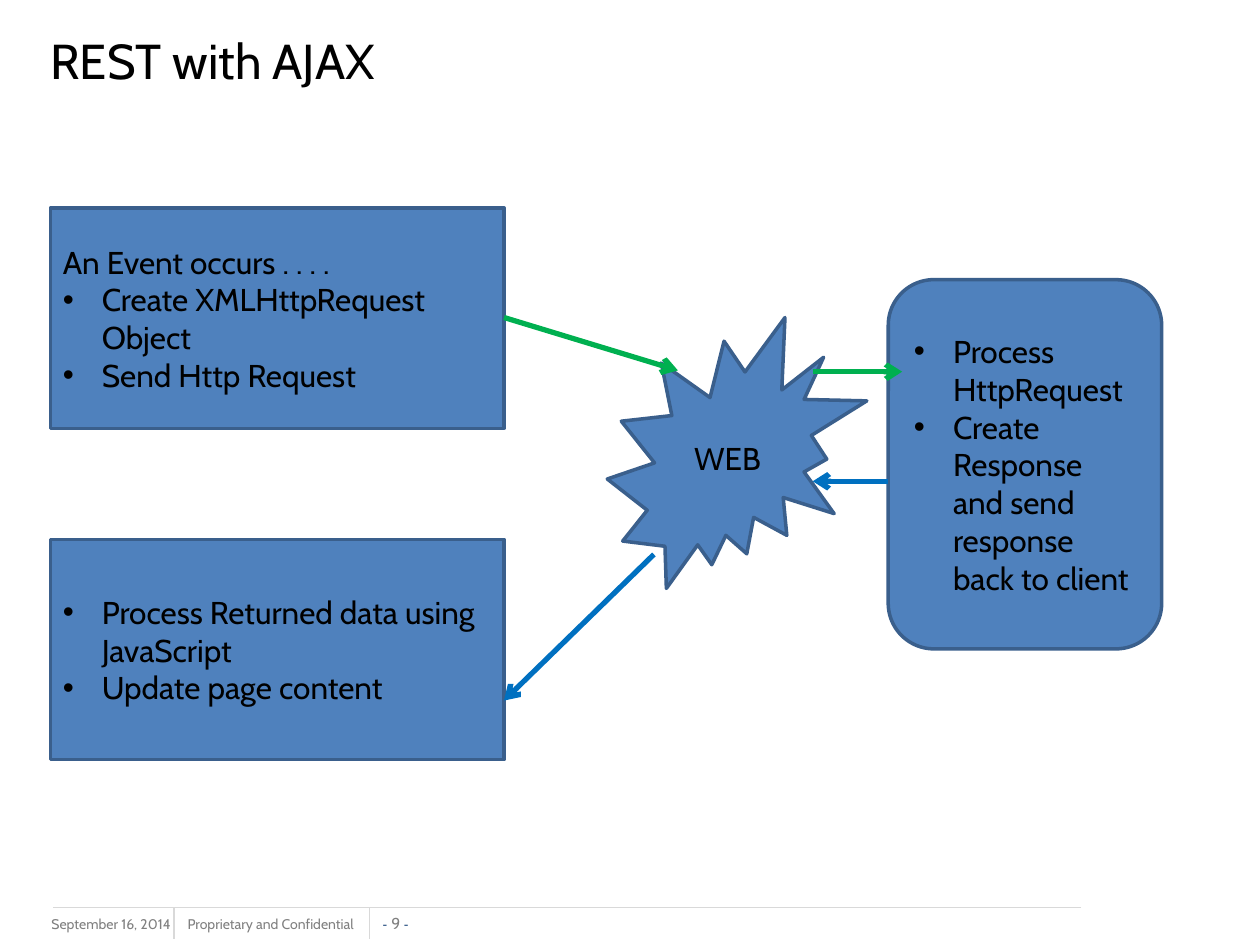
from dataclasses import dataclass

from lxml import etree
from pptx import Presentation
from pptx.dml.color import RGBColor
from pptx.enum.shapes import MSO_CONNECTOR, MSO_SHAPE
from pptx.enum.text import MSO_ANCHOR, PP_ALIGN
from pptx.oxml.ns import qn
from pptx.util import Inches, Pt

RECT, ROUND = MSO_SHAPE.RECTANGLE, MSO_SHAPE.ROUNDED_RECTANGLE
BURST, LINE = MSO_SHAPE.EXPLOSION2, MSO_CONNECTOR.STRAIGHT
LEFT, MID = PP_ALIGN.LEFT, PP_ALIGN.CENTER
TOP, CENTER, BASE = MSO_ANCHOR.TOP, MSO_ANCHOR.MIDDLE, MSO_ANCHOR.BOTTOM

HEX = {"ink": "000000", "fill": "4F81BD", "edge": "3A5F8C", "send": "00B050",
       "reply": "0070C0", "rule": "D9D9D9", "note": "808080", "dash": "1F497D"}
COLS, ROWS = 100, 75
FONT = "Cabin"

deck = Presentation()
deck.slide_width, deck.slide_height = Inches(10), Inches(7.5)
slide = deck.slides.add_slide(deck.slide_layouts[5])


@dataclass
class Run:
    text: str
    size: float
    color: str
    font: str = FONT


@dataclass
class Box:
    kind: int
    area: tuple
    head: str = ""
    items: tuple = ()
    align: int = LEFT


@dataclass
class Link:
    start: tuple
    end: tuple
    color: str
    width: float = 3
    arrow: bool = True


@dataclass
class Note:
    area: tuple
    runs: tuple
    wrap: bool = False
    anchor: int = TOP
    align: int = LEFT
    inset: bool = True


def col(n: float) -> int:
    return round(deck.slide_width * n / COLS)


def row(n: float) -> int:
    return round(deck.slide_height * n / ROWS)


def place(area: tuple) -> tuple:
    x, y, w, h = area
    return col(x), row(y), col(w), row(h)


def shade(name: str) -> RGBColor:
    return RGBColor.from_string(HEX[name])


def dot(para) -> None:
    props = para._p.get_or_add_pPr()
    props.set("marL", str(Inches(0.31)))
    props.set("indent", str(-Inches(0.31)))
    etree.SubElement(props, qn("a:buFont")).set("typeface", "Arial")
    etree.SubElement(props, qn("a:buChar")).set("char", "•")


def write(para, text: str, *, size: float = 18, color: str = "ink",
          font: str = FONT, align: int = LEFT, bullet: bool = False) -> None:
    para.alignment = align
    if bullet:
        dot(para)
    run = para.add_run()
    run.text = text
    run.font.size, run.font.name = Pt(size), font
    run.font.color.rgb = shade(color)


def draw_box(box: Box) -> None:
    shape = slide.shapes.add_shape(box.kind, *place(box.area))
    shape.shadow.inherit = False
    shape.fill.solid()
    shape.fill.fore_color.rgb = shade("fill")
    shape.line.color.rgb = shade("edge")
    shape.line.width = Pt(2)
    frame = shape.text_frame
    frame.word_wrap, frame.vertical_anchor = True, CENTER
    lines = ([box.head] if box.head else []) + list(box.items)
    for i, text in enumerate(lines):
        para = frame.add_paragraph() if i else frame.paragraphs[0]
        write(para, text, align=box.align, bullet=text in box.items)


def draw_link(link: Link) -> None:
    (x, y), (to_x, to_y) = link.start, link.end
    wire = slide.shapes.add_connector(LINE, col(x), row(y), col(to_x), row(to_y))
    wire.line.color.rgb = shade(link.color)
    wire.line.width = Pt(link.width)
    if link.arrow:
        tail = etree.SubElement(wire.line._get_or_add_ln(), qn("a:tailEnd"))
        tail.set("type", "arrow")
    etree.SubElement(wire._element.spPr, qn("a:effectLst"))


def draw_note(note: Note) -> None:
    frame = slide.shapes.add_textbox(*place(note.area)).text_frame
    frame.word_wrap, frame.vertical_anchor = note.wrap, note.anchor
    if not note.inset:
        frame.margin_left = frame.margin_right = 0
        frame.margin_top = frame.margin_bottom = 0
    for run in note.runs:
        write(frame.paragraphs[0], run.text, size=run.size, color=run.color,
              font=run.font, align=note.align)


NOTES = (
    Note((3.1, 72.2, 13.3, 2.5), (Run("September 16, 2014", 8, "note"),), wrap=True),
    Note((13.9, 72.2, 15.7, 2.4), (Run("Proprietary and Confidential", 8, "note"),)),
    Note((30.1, 72.5, 2.6, 1.5),
         (Run("- ", 8, "dash", "Arial"), Run("9 ", 9, "note"),
          Run("-", 8, "dash", "Arial")),
         anchor=BASE, align=MID, inset=False),
)
RULES = [Link((85.8, 72), (4.2, 72), "rule", 0.75, False)]
RULES += [Link((x, 72), (x, 74.5), "rule", 0.75, False) for x in (13.8, 29.3)]
BOXES = (
    Box(RECT, (4, 16.5, 36, 17.5), "An Event occurs . . . .",
        ("Create XMLHttpRequest Object", "Send Http Request")),
    Box(RECT, (4, 42.8, 36, 17.5), items=(
        "Process Returned data using JavaScript", "Update page content")),
    Box(BURST, (48.2, 25.2, 20.6, 21.5), "WEB", align=MID),
    Box(ROUND, (70.5, 22.2, 21.7, 29.3), items=(
        "Process HttpRequest", "Create Response and send response back to client")),
)
LINKS = (
    Link((40, 25.2), (53.8, 29.4), "send"),
    Link((51.9, 44), (40, 55.6), "reply"),
    Link((64.5, 29.5), (71.6, 29.5), "send"),
    Link((70.5, 38.2), (64.5, 38.2), "reply"),
)

for note in NOTES:
    draw_note(note)
for rule in RULES:
    draw_link(rule)

title = slide.shapes.title
title.left, title.top, title.width, title.height = place((3, 0, 90, 9.5))
title.text_frame.vertical_anchor = CENTER
write(title.text_frame.paragraphs[0], "REST with AJAX", size=28)

for box in BOXES:
    draw_box(box)
for link in LINKS:
    draw_link(link)

deck.save("out.pptx")
